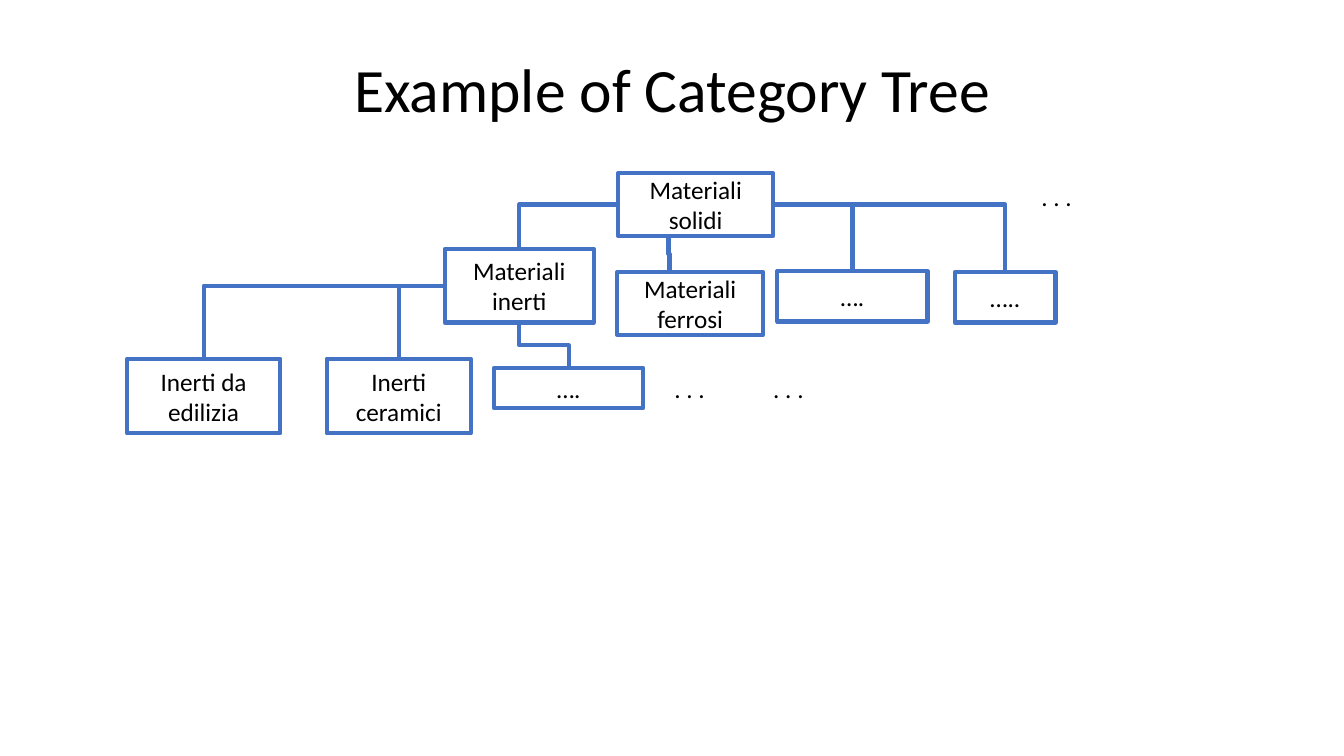
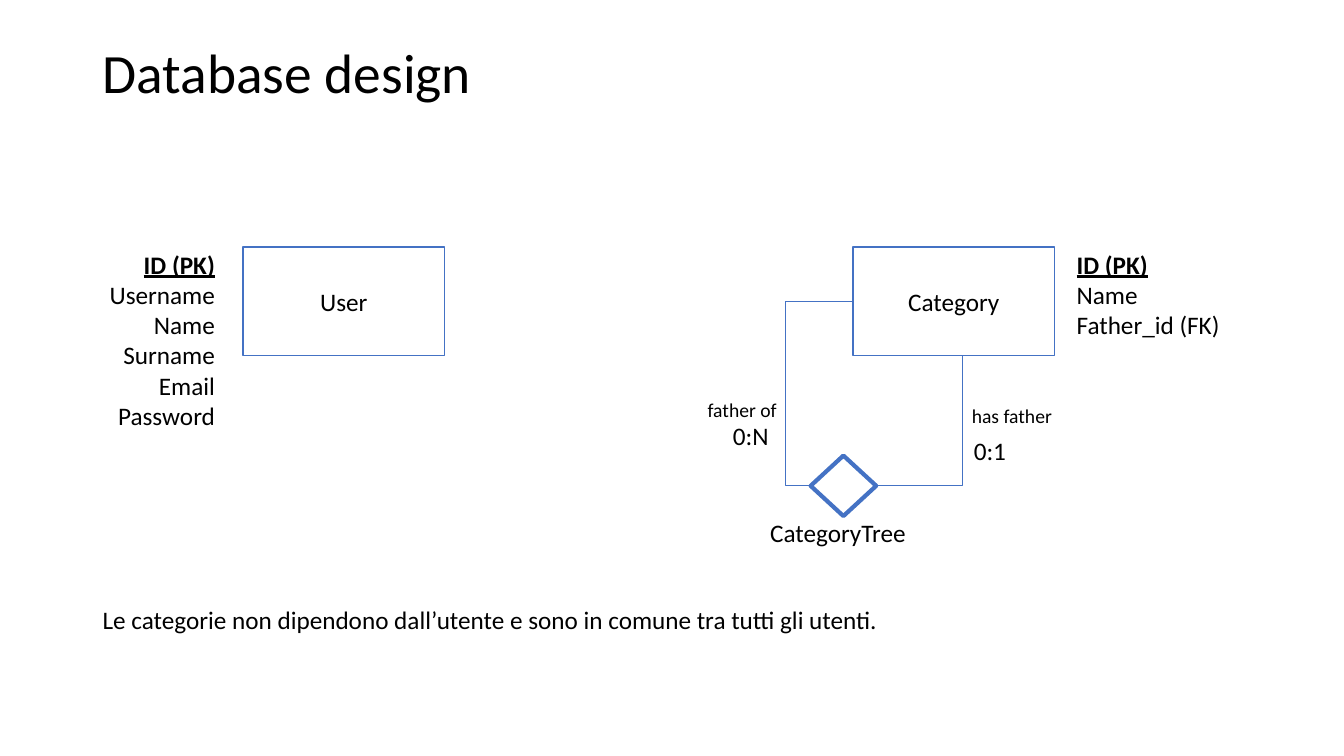
import pptx
import pptx.util
import pptx.dml.color
import pptx.enum.shapes
import pptx.enum.text
import lxml.etree

WIDTH, HEIGHT = 13.33, 7.5
MARGIN, CONTENT = 0.92, 11.5
FONT, INK, PAPER, ACCENT = "Calibri", "000000", "FFFFFF", "4472C4"
BODY, SMALL = 18, 14
THICK, THIN, HAIR = 3, 1, 0.5
SHAPE = pptx.enum.shapes.MSO_SHAPE
ALIGN = pptx.enum.text.PP_ALIGN
ANCHOR = pptx.enum.text.MSO_ANCHOR
inch = pptx.util.Inches

TREE_TITLE = "Example of Category Tree"
TREE = {
    "solids": ("Materiali solidi", (6.13, 1.72, 1.54, 0.62)),
    "inert": ("Materiali inerti", (4.41, 2.47, 1.48, 0.73)),
    "ferrous": ("Materiali ferrosi", (6.12, 2.7, 1.45, 0.62)),
    "other solid": ("….", (7.71, 2.69, 1.49, 0.5)),
    "last solid": ("…..", (9.47, 2.7, 1, 0.5)),
    "building": ("Inerti da edilizia", (1.26, 3.56, 1.52, 0.74)),
    "ceramic": ("Inerti ceramici", (3.24, 3.56, 1.43, 0.74)),
    "other inert": ("….", (4.9, 3.65, 1.48, 0.4)),
}
SIDE_BRANCHES = [
    ("solids", "left", "inert"),
    ("solids", "right", "other solid"),
    ("solids", "right", "last solid"),
    ("inert", "left", "building"),
    ("inert", "left", "ceramic"),
]
DROPS = [((6.63, 2.34), (6.64, 2.7)), ((5.15, 3.2), (5.64, 3.65))]
MORE = [(10.23, 1.75), (7.57, 3.65), (6.59, 3.65)]

DESIGN_TITLE = "Database design"
ENTITIES = {"User": (2.41, 2.45, 2, 1.08), "Category": (8.46, 2.45, 2, 1.08)}
RELATION = (8.04, 4.52, 0.65, 0.6)
KEY = "ID (PK)"
ATTRIBUTES = [
    (["Username", "Name", "Surname", "Email", "Password"], (0.59, 2.42, 1.64, 1.92), ALIGN.RIGHT),
    (["Name", "Father_id (FK)"], (10.58, 2.42, 1.92, 1.01), ALIGN.LEFT),
]
LABELS = [
    ("father of", (6.92, 3.9, 1.24, 0.34), SMALL),
    ("0:N", (7.17, 4.12, 0.56, 0.4), BODY),
    ("has father", (9.54, 3.96, 1.24, 0.34), SMALL),
    ("0:1", (9.56, 4.27, 0.53, 0.4), BODY),
    ("CategoryTree", (7.54, 5.08, 1.92, 0.4), BODY),
    ("Le categorie non dipendono dall’utente e sono in comune tra tutti gli utenti.",
     (MARGIN, 5.95, CONTENT, 0.4), BODY),
]


def color(value):
    return pptx.dml.color.RGBColor.from_string(value)


def site(box, side):
    left, top, width, height = box
    across, down = {"left": (0, 0.5), "right": (1, 0.5), "top": (0.5, 0), "bottom": (0.5, 1)}[side]
    return left + across * width, top + down * height


def write(frame, lines, size=BODY, align=ALIGN.LEFT, anchor=ANCHOR.TOP, key=None, spacing=None):
    frame.vertical_anchor = anchor
    for index, line in enumerate(lines):
        paragraph = frame.paragraphs[0] if index == 0 else frame.add_paragraph()
        paragraph.alignment = align
        if spacing:
            paragraph.line_spacing = spacing
        run = paragraph.add_run()
        run.text = line
        run.font.name, run.font.size = FONT, pptx.util.Pt(size)
        run.font.color.rgb = color(INK)
        if line == key:
            run.font.bold = run.font.underline = True


def add_text(slide, box, lines, wrap=True, **style):
    frame = slide.shapes.add_textbox(*map(inch, box)).text_frame
    frame.word_wrap = wrap
    write(frame, lines, **style)


def add_title(slide, text, height, size, align):
    add_text(slide, (MARGIN, 0.4, CONTENT, height), [text], size=size, align=align,
             anchor=ANCHOR.MIDDLE, spacing=0.9)


def add_node(slide, box, weight, text=None, outline=SHAPE.RECTANGLE):
    node = slide.shapes.add_shape(outline, *map(inch, box))
    node.shadow.inherit = False
    node.fill.solid()
    node.fill.fore_color.rgb = color(PAPER)
    node.line.color.rgb = color(ACCENT)
    node.line.width = pptx.util.Pt(weight)
    if text:
        write(node.text_frame, [text], align=ALIGN.CENTER, anchor=ANCHOR.MIDDLE)


def add_elbow(slide, start, end, weight, bend=1, upright=False):
    if upright:
        middle_x, middle_y = (start[0] + end[0]) / 2, (start[1] + end[1]) / 2
        half_x, half_y = (end[0] - start[0]) / 2, (end[1] - start[1]) / 2
        start = middle_x - half_y, middle_y + half_x
        end = middle_x + half_y, middle_y - half_x
    elbow = slide.shapes.add_connector(
        pptx.enum.shapes.MSO_CONNECTOR.ELBOW, *map(inch, start + end))
    elbow.line.color.rgb = color(ACCENT)
    elbow.line.width = pptx.util.Pt(weight)
    properties = elbow._element.spPr
    if upright:
        properties.xfrm.set("rot", str(90 * 60000))
    drawing = "{%s}" % properties.nsmap["a"]
    guides = properties.find(drawing + "prstGeom").find(drawing + "avLst")
    lxml.etree.SubElement(guides, drawing + "gd", name="adj1", fmla=f"val {round(bend * 100000)}")
    lxml.etree.SubElement(properties, drawing + "effectLst")


def build_tree(slide):
    add_title(slide, TREE_TITLE, 1.04, 44, ALIGN.CENTER)
    for parent, side, child in SIDE_BRANCHES:
        add_elbow(slide, site(TREE[parent][1], side), site(TREE[child][1], "top"), THICK)
    for start, end in DROPS:
        add_elbow(slide, start, end, THICK, bend=0.5, upright=True)
    for text, box in TREE.values():
        add_node(slide, box, THICK, text)
    for corner in MORE:
        add_text(slide, corner + (0.51, 0.4), [". . ."], wrap=False)


def build_design(slide):
    add_title(slide, DESIGN_TITLE, 0.7, 39.6, ALIGN.LEFT)
    for name, box in ENTITIES.items():
        add_node(slide, box, THIN, name)
    category = ENTITIES["Category"]
    add_elbow(slide, site(RELATION, "left"), site(category, "left"), HAIR, bend=-0.6)
    add_elbow(slide, site(RELATION, "right"), (9.54, site(category, "bottom")[1]), HAIR)
    add_node(slide, RELATION, THICK, outline=SHAPE.DIAMOND)
    for names, box, align in ATTRIBUTES:
        add_text(slide, box, [KEY] + names, align=align, key=KEY)
    for text, box, size in LABELS:
        add_text(slide, box, [text], wrap=box[2] > 1, size=size)


def main():
    deck = pptx.Presentation()
    deck.slide_width, deck.slide_height = inch(WIDTH), inch(HEIGHT)
    for build in (build_tree, build_design):
        build(deck.slides.add_slide(deck.slide_layouts[6]))
    deck.save("out.pptx")


if __name__ == "__main__":
    main()
